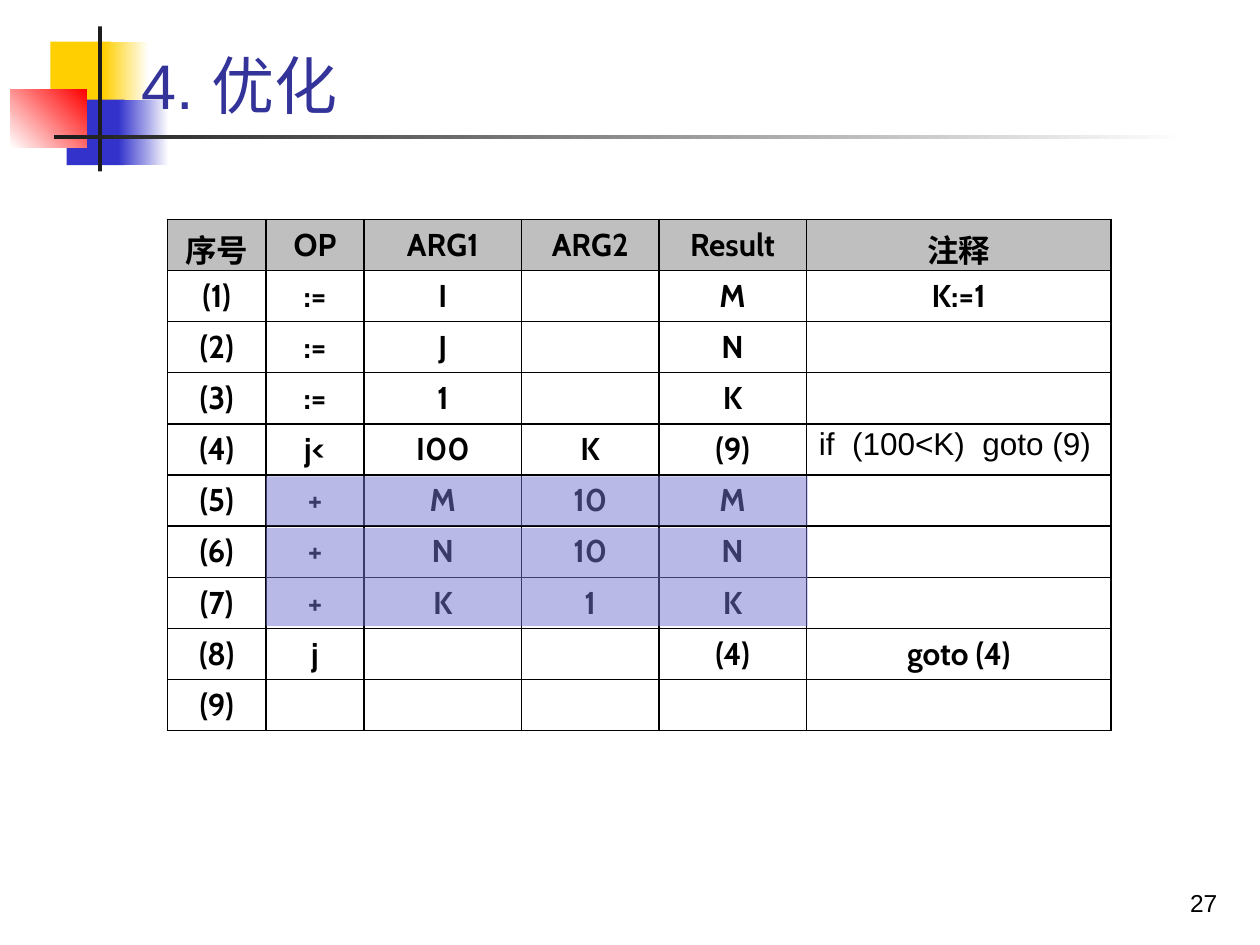
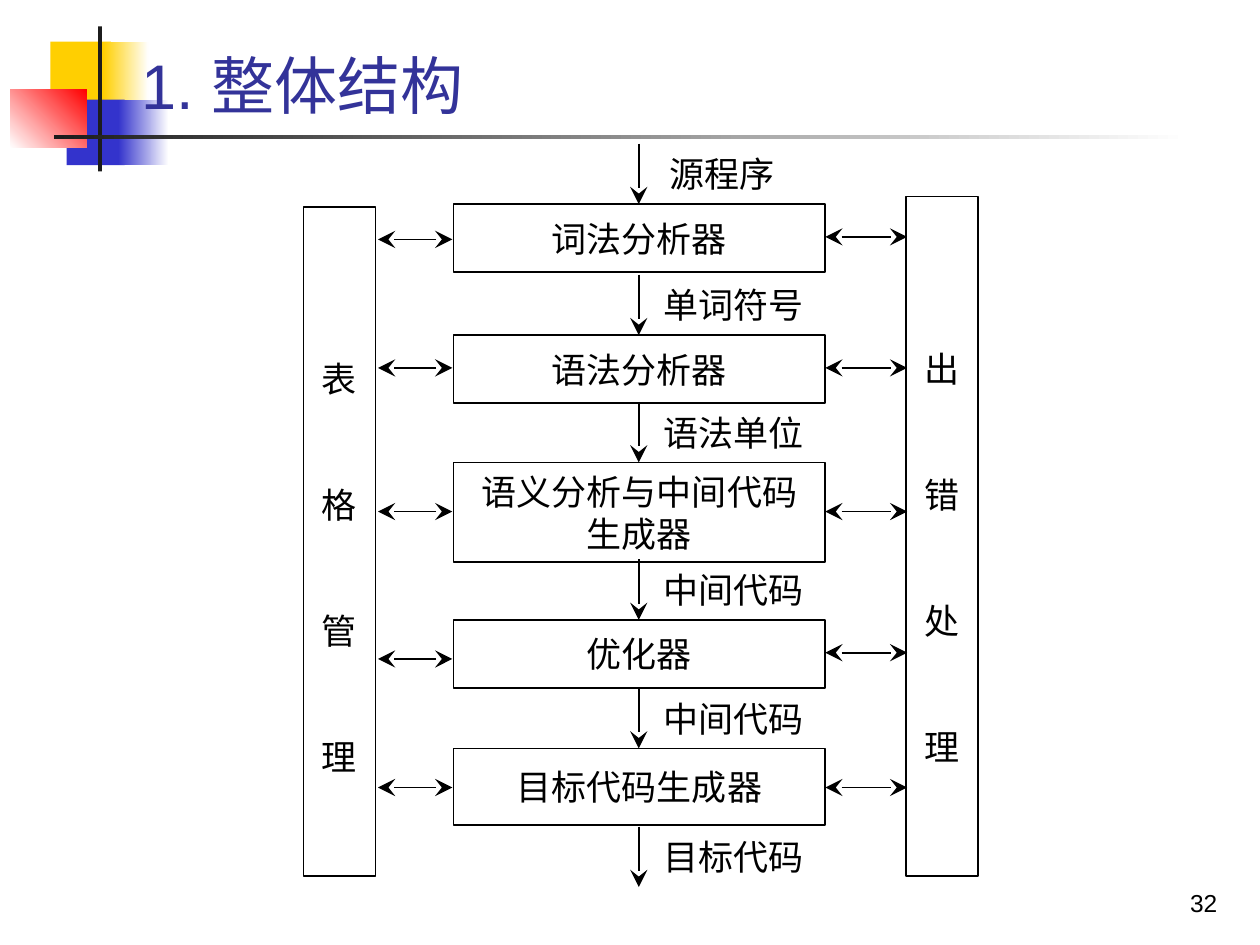
from lxml import etree
from pptx import Presentation
from pptx.dml.color import RGBColor
from pptx.enum.shapes import MSO_CONNECTOR, MSO_SHAPE
from pptx.enum.text import MSO_ANCHOR, PP_ALIGN
from pptx.oxml.ns import qn
from pptx.util import Inches, Pt

RECTANGLE = MSO_SHAPE.RECTANGLE
STRAIGHT = MSO_CONNECTOR.STRAIGHT
TOP, MIDDLE, BOTTOM = MSO_ANCHOR.TOP, MSO_ANCHOR.MIDDLE, MSO_ANCHOR.BOTTOM
LEFT, CENTER, RIGHT = PP_ALIGN.LEFT, PP_ALIGN.CENTER, PP_ALIGN.RIGHT

BLACK, WHITE, GRAY, DARK = "000000", "FFFFFF", "BFBFBF", "1C1C1C"
YELLOW, BLUE, RED = "FFCF01", "3333CC", "FF0000"
TITLE_BLUE, HIGHLIGHT = "333399", "7575D1"
CJK_FONT = "Noto Sans CJK SC"


def paint(fill, start, end=None, angle=0):
    if end is None:
        fill.solid()
        fill.fore_color.rgb = RGBColor.from_string(start)
        return
    fill.gradient()
    fill.gradient_angle = angle
    for stop, color, position in zip(fill.gradient_stops, (start, end), (0, 1)):
        stop.color.rgb = RGBColor.from_string(color)
        stop.position = position


def write(frame, text, size, font, color=BLACK, align=CENTER, bold=False, anchor=MIDDLE):
    frame.text = text
    frame.vertical_anchor = anchor
    for paragraph in frame.paragraphs:
        paragraph.alignment = align
        paragraph.font.size = Pt(size)
        paragraph.font.bold = bold
        paint(paragraph.font.fill, color)
        paragraph.font.name = font
        properties = paragraph._p.pPr.find(qn("a:defRPr"))
        etree.SubElement(properties, qn("a:ea"), typeface=CJK_FONT)


presentation = Presentation()
presentation.slide_width = Inches(10)
presentation.slide_height = Inches(7.5)
layout = presentation.slide_layouts[5]

slides = []
for title_text, number in [("4. 优化", "27"), ("1. 整体结构", "32")]:
    slide = presentation.slides.add_slide(layout)
    slides.append(slide)
    title = slide.shapes.title
    title.left, title.top = Inches(1.02), Inches(0.31)
    title.width, title.height = Inches(8.75), Inches(0.71)
    write(title.text_frame, title_text, 36, "Arial", TITLE_BLUE, LEFT, anchor=BOTTOM)
    number_box = slide.shapes.add_textbox(Inches(7.68), Inches(6.83), Inches(2.08), Inches(0.5))
    number_box.text_frame.word_wrap = True
    write(number_box.text_frame, number, 14, "Arial", align=RIGHT, anchor=BOTTOM)

table_slide, structure_slide = slides

decorations = [
    (0.4, 0.33, 0.48, 0.52, (YELLOW,)),
    (0.82, 0.33, 0.36, 0.52, (YELLOW, WHITE)),
    (0.53, 0.79, 0.46, 0.52, (BLUE,)),
    (0.94, 0.79, 0.4, 0.52, (BLUE, WHITE)),
    (0.08, 0.71, 0.61, 0.46, (WHITE, RED, 45)),
    (0.78, 0.21, 0.03, 1.15, (DARK,)),
    (0.43, 1.07, 9, 0.03, (DARK, WHITE)),
]
for left, top, width, height, colors in decorations:
    shape = table_slide.shapes.add_shape(
        RECTANGLE, Inches(left), Inches(top), Inches(width), Inches(height))
    shape.shadow.inherit = False
    shape.line.fill.background()
    paint(shape.fill, *colors)
    layout.shapes.element.append(shape.element)

quadruples = [
    ("序号", "OP", "ARG1", "ARG2", "Result", "注释"),
    ("(1)", ":=", "I", "", "M", "K:=1"),
    ("(2)", ":=", "J", "", "N", ""),
    ("(3)", ":=", "1", "", "K", ""),
    ("(4)", "j<", "I00", "K", "(9)", "if  (100<K)  goto (9)"),
    ("(5)", "+", "M", "10", "M", ""),
    ("(6)", "+", "N", "10", "N", ""),
    ("(7)", "+", "K", "1", "K", ""),
    ("(8)", "j", "", "", "(4)", "goto (4)"),
    ("(9)", "", "", "", "", ""),
]
column_widths = [0.78, 0.78, 1.25, 1.09, 1.17, 2.42]
table = table_slide.shapes.add_table(
    len(quadruples), len(column_widths),
    Inches(1.33), Inches(1.74), Inches(7.5), Inches(4.06)).table
table.first_row = False
table.horz_banding = False
for column, width in zip(table.columns, column_widths):
    column.width = Inches(width)
for row_index, texts in enumerate(quadruples):
    for column_index, text in enumerate(texts):
        cell = table.cell(row_index, column_index)
        if text.startswith("if"):
            write(cell.text_frame, text, 18, "Arial", align=LEFT, anchor=TOP)
            cell.text_frame.paragraphs[0].line_spacing = 0.9
        elif text:
            write(cell.text_frame, text, 18, "Cabin", bold=True, anchor=TOP)
        cell_properties = cell._tc.get_or_add_tcPr()
        for side in ("a:lnL", "a:lnR", "a:lnT", "a:lnB"):
            border = etree.SubElement(cell_properties, qn(side), w=str(Pt(1)))
            border_fill = etree.SubElement(border, qn("a:solidFill"))
            etree.SubElement(border_fill, qn("a:srgbClr"), val=BLACK)
        if row_index == 0:
            paint(cell.fill, GRAY)
        else:
            cell.fill.background()

for top in (3.78, 4.19, 4.58):
    highlight = table_slide.shapes.add_shape(
        RECTANGLE, Inches(2.11), Inches(top), Inches(4.3), Inches(0.39))
    highlight.shadow.inherit = False
    highlight.line.fill.background()
    paint(highlight.fill, HIGHLIGHT)
    color = highlight.element.spPr.find(qn("a:solidFill"))[0]
    etree.SubElement(color, qn("a:alpha"), val="50000")

stages = [
    ("词法分析器", 1.62, 0.54, 1.9, 1.88),
    ("语法分析器", 2.66, 0.54, 2.92, 2.92),
    ("语义分析与中间代码生成器", 3.67, 0.79, 4.06, 4.06),
    ("优化器", 4.92, 0.54, 5.23, 5.18),
    ("目标代码生成器", 5.94, 0.61, 6.25, 6.25),
]
boxes = [
    ("表\n格\n管\n理", 2.41, 1.64, 0.57, 5.31),
    ("出\n错\n处\n理", 7.19, 1.56, 0.57, 5.39),
]
arrows = []
for text, top, height, left_y, right_y in stages:
    boxes.append((text, 3.6, top, 2.95, height))
    arrows.append((3.59, left_y, 3, left_y, True))
    arrows.append((6.55, right_y, 7.2, right_y, True))

flow_labels = ["源程序", "单词符号", "语法单位", "中间代码", "中间代码", "目标代码"]
flow_tops = [stage[1] - 0.48 for stage in stages] + [6.56]
for text, top in zip(flow_labels, flow_tops):
    arrows.append((5.07, top, 5.07, top + 0.48, False))
    width = 1.3 if len(text) == 3 else 1.48
    label = structure_slide.shapes.add_textbox(
        Inches(5.08), Inches(top + 0.05), Inches(width), Inches(0.38))
    label.text_frame.word_wrap = False
    write(label.text_frame, text, 20, CJK_FONT)
    label.text_frame.paragraphs[0].line_spacing = Pt(24)

for text, left, top, width, height in boxes:
    box = structure_slide.shapes.add_shape(
        RECTANGLE, Inches(left), Inches(top), Inches(width), Inches(height))
    box.shadow.inherit = False
    box.fill.background()
    paint(box.line.fill, BLACK)
    box.line.width = Pt(1)
    frame = box.text_frame
    vertical = "\n" in text
    write(frame, text, 20, CJK_FONT, anchor=TOP if vertical else MIDDLE)
    if vertical:
        frame.margin_top = Inches(1.2)
    for index, paragraph in enumerate(frame.paragraphs):
        paragraph.line_spacing = Pt(24)
        paragraph.space_before = Pt(48 if index else 0)

for start_x, start_y, end_x, end_y, double in arrows:
    arrow = structure_slide.shapes.add_connector(
        STRAIGHT, Inches(start_x), Inches(start_y), Inches(end_x), Inches(end_y))
    paint(arrow.line.fill, BLACK)
    arrow.line.width = Pt(1)
    line = arrow.line._get_or_add_ln()
    for end in ("a:headEnd", "a:tailEnd") if double else ("a:tailEnd",):
        etree.SubElement(line, qn(end), type="stealth", w="lg", len="lg")
    etree.SubElement(arrow.element.spPr, qn("a:effectLst"))

presentation.save("out.pptx")
